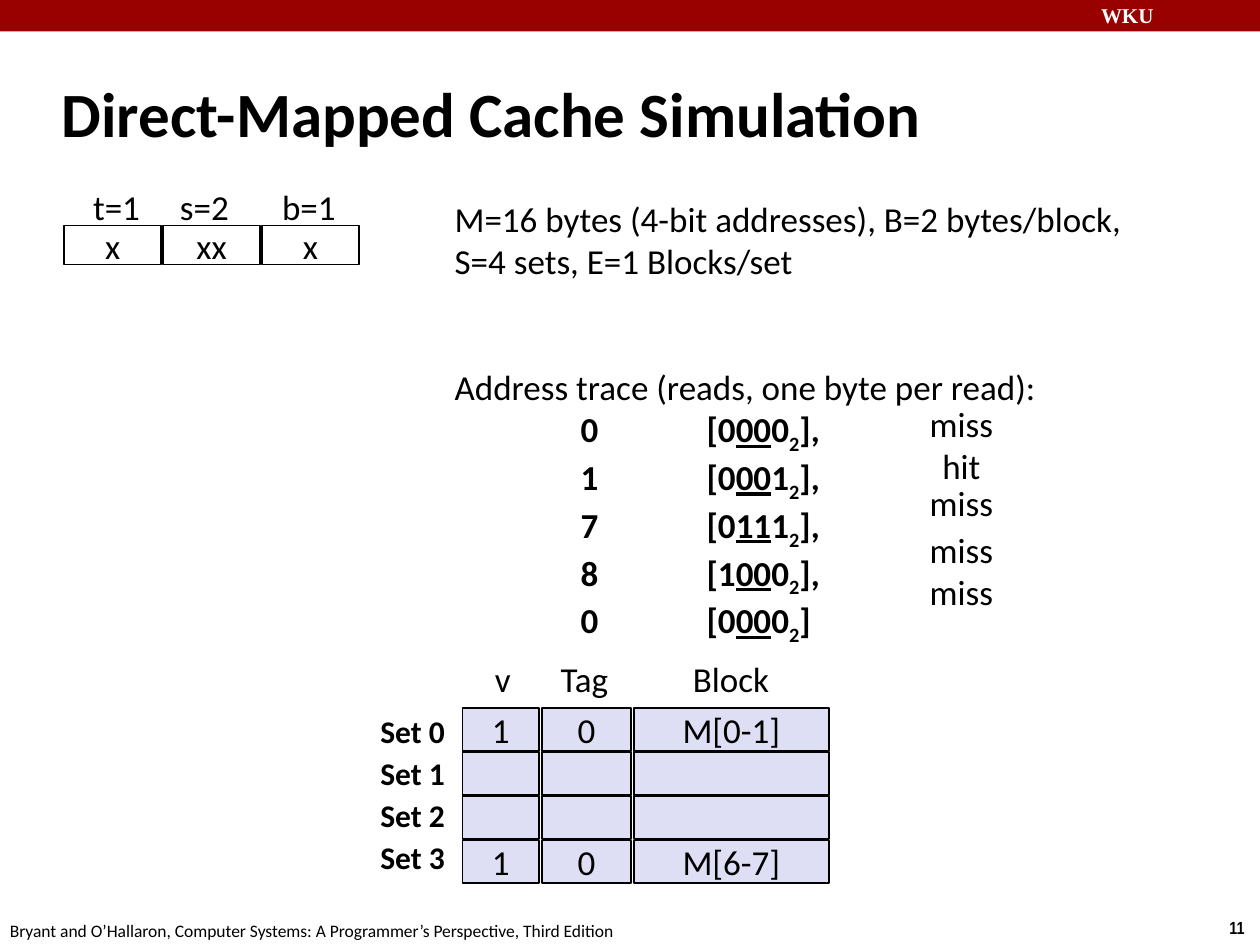
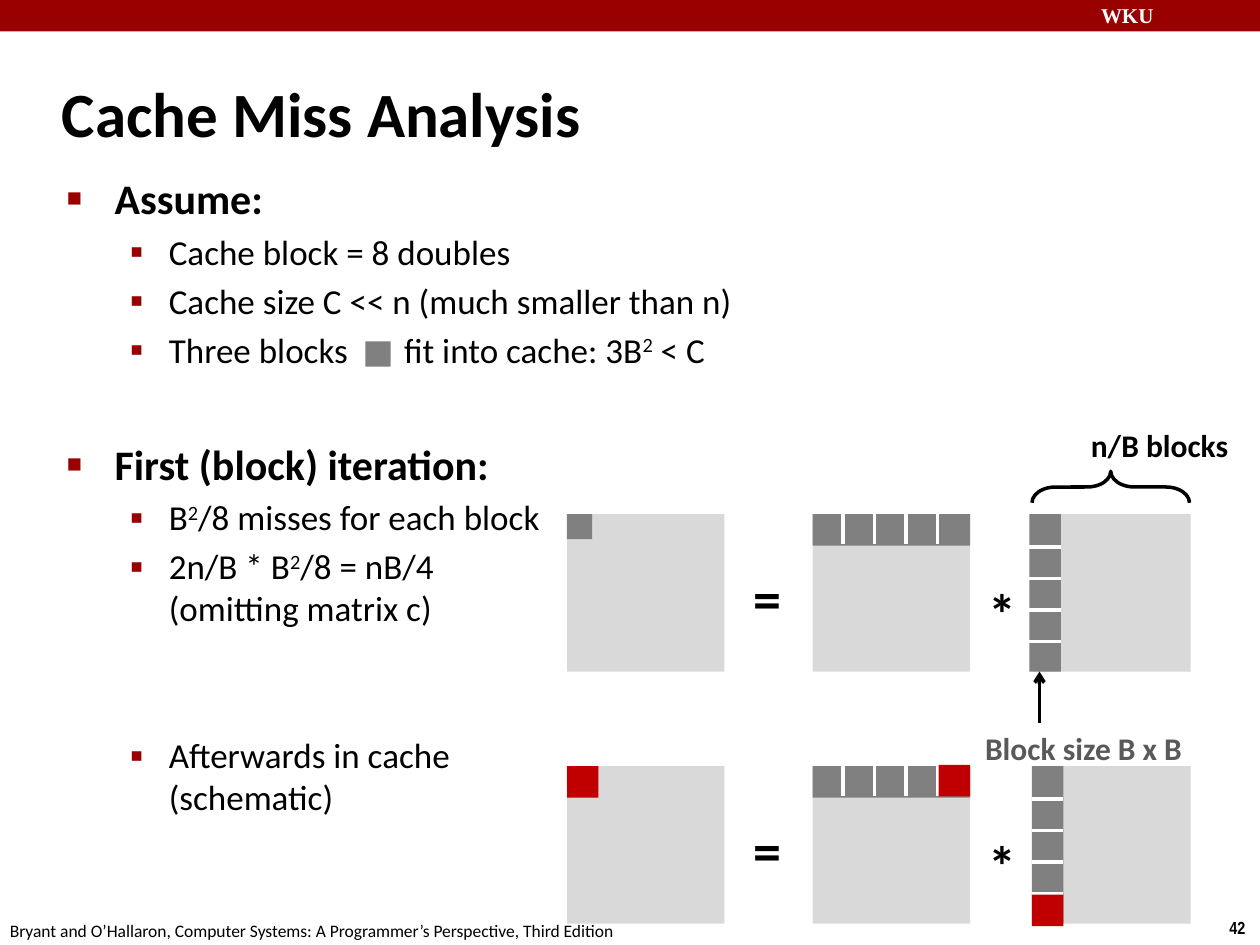
"""Builds two lecture slides on cache simulation and cache misses."""
from dataclasses import dataclass
from typing import Any

from lxml import etree
from pptx import Presentation
from pptx.dml.color import RGBColor
from pptx.enum.shapes import MSO_CONNECTOR, MSO_SHAPE
from pptx.enum.text import MSO_ANCHOR, MSO_AUTO_SIZE, PP_ALIGN
from pptx.oxml.ns import qn
from pptx.util import Inches, Pt

RECTANGLE, BRACE = MSO_SHAPE.RECTANGLE, MSO_SHAPE.LEFT_BRACE
STRAIGHT = MSO_CONNECTOR.STRAIGHT
LEFT, CENTER = PP_ALIGN.LEFT, PP_ALIGN.CENTER
TOP, MIDDLE = MSO_ANCHOR.TOP, MSO_ANCHOR.MIDDLE
FIXED, GROW = MSO_AUTO_SIZE.NONE, MSO_AUTO_SIZE.SHAPE_TO_FIT_TEXT

GRID_COLUMNS = 100
BLACK, WHITE, CRIMSON = "000000", "FFFFFF", "990000"
CELL, MATRIX, BLOCK, CACHED, CAPTION = "DEDFF5", "D9D9D9", "808080", "C00000", "595959"
SUPER, SUB, UNDERLINED = {"baseline": 30000}, {"baseline": -25000}, {"underline": True}
FOOTER = ("Bryant and O’Hallaron, Computer Systems: "
          "A Programmer’s Perspective, Third Edition")


def colour(code):
    """Turn a hex string into a colour."""
    return RGBColor.from_string(code)


def add_xml(parent, tag, **attributes):
    """Append a drawing element with its attributes."""
    return etree.SubElement(parent, qn(tag), attributes)


def write(para, text, size=20, bold=False, ink=BLACK, font="Calibri",
          underline=None, baseline=None, spacing=None):
    """Add text to a paragraph in the given format."""
    for number, line in enumerate(text.split("\n")):
        if number:
            para.add_line_break()
        span = para.add_run()
        span.text = line
        span.font.size, span.font.bold = Pt(size), bold
        span.font.name, span.font.underline = font, underline
        span.font.color.rgb = colour(ink)
        for name, value in (("baseline", baseline), ("spc", spacing)):
            if value is not None:
                span._r.get_or_add_rPr().set(name, str(value))


def write_parts(para, parts, **style):
    """Write plain strings and (string, format) pairs one after another."""
    for part in parts:
        text, extra = (part, {}) if isinstance(part, str) else part
        write(para, text, **{**style, **extra})


def paragraphs(frame, count):
    """Return the first paragraph of a frame and as many new ones as needed."""
    return [frame.paragraphs[0]] + [frame.add_paragraph() for _ in range(count - 1)]


@dataclass
class Deck:
    """Holds the shared style and the current slide."""
    file: Any
    page: Any = None

    def place(self, *cells):
        """Convert grid cells to lengths."""
        return [round(cell * self.file.slide_width / GRID_COLUMNS) for cell in cells]

    def new_page(self, layout, title, number):
        """Start a slide with its title, band and footer."""
        self.page = self.file.slides.add_slide(self.file.slide_layouts[layout])
        self.rectangle(0, 0, 100, 2.5, CRIMSON)
        self.label("WKU", 86.4, -0.3, 14.3, 3, wrap=True, size=12, bold=True,
                   ink=WHITE, font="Times New Roman")
        self.label(number, 96.6, 72.3, 3.4, 2.7, size=10, bold=True, font="Arial Narrow")
        self.label(FOOTER, -0.2, 72.5, 50.8, 2.7, size=10)
        frame = self.move(self.page.shapes.title, 3.9, 4.8, 83, 8.3)
        frame.vertical_anchor = MIDDLE
        frame.paragraphs[0].alignment = LEFT
        write(frame.paragraphs[0], title, size=36, bold=True)

    def move(self, holder, *cells):
        """Move a placeholder and return its text frame."""
        holder.left, holder.top, holder.width, holder.height = self.place(*cells)
        holder.text_frame.auto_size = FIXED
        return holder.text_frame

    def rectangle(self, left, top, width, height, fill, text="", outline=False):
        """Draw a filled rectangle with optional centred text."""
        box = self.page.shapes.add_shape(RECTANGLE, *self.place(left, top, width, height))
        box.shadow.inherit = False
        box.fill.solid()
        box.fill.fore_color.rgb = colour(fill)
        if outline:
            box.line.color.rgb, box.line.width = colour(BLACK), Pt(1)
        else:
            box.line.fill.background()
        if text:
            frame = box.text_frame
            frame.word_wrap, frame.vertical_anchor = False, MIDDLE
            frame.paragraphs[0].alignment = CENTER
            write(frame.paragraphs[0], text)

    def text_box(self, *cells, wrap=False):
        """Add a text box and return its frame."""
        frame = self.page.shapes.add_textbox(*self.place(*cells)).text_frame
        frame.word_wrap, frame.auto_size = wrap, GROW
        return frame

    def label(self, text, *cells, wrap=False, line_spacing=None, **style):
        """Add a one-line label."""
        para = self.text_box(*cells, wrap=wrap).paragraphs[0]
        para.line_spacing = line_spacing
        write(para, text, **style)

    def line(self, *ends, ink=WHITE, arrow=False):
        """Draw a straight line, with an open arrowhead if asked."""
        line = self.page.shapes.add_connector(STRAIGHT, *self.place(*ends))
        line.line.color.rgb, line.line.width = colour(ink), Pt(2)
        if arrow:
            add_xml(line.line._get_or_add_ln(), "a:tailEnd", type="arrow")
        add_xml(line._element.spPr, "a:effectLst")

    def brace(self, *cells):
        """Draw a brace that points up."""
        brace = self.page.shapes.add_shape(BRACE, *self.place(*cells))
        brace.shadow.inherit = False
        brace.rotation = 90
        brace.adjustments[0], brace.adjustments[1] = 0.75, 0.5
        brace.fill.background()
        brace.line.color.rgb, brace.line.width = colour(BLACK), Pt(2)

    def bullets(self, items, *cells):
        """Fill the body placeholder with (level, space before, parts) items."""
        frame = self.move(self.page.placeholders[1], *cells)
        frame.vertical_anchor = TOP
        marks = (("■", 60, 0.38, 0.38, 24), ("▪", 110, 0.81, 0.31, 20))
        for para, (level, gap, parts) in zip(paragraphs(frame, len(items)), items):
            mark, percent, margin, hanging, size = marks[level]
            para.level = level
            properties = para._p.get_or_add_pPr()
            properties.set("marL", str(Inches(margin)))
            properties.set("indent", str(-Inches(hanging)))
            add_xml(add_xml(properties, "a:buClr"), "a:srgbClr", val=CRIMSON)
            add_xml(properties, "a:buSzPct", val=str(percent * 1000))
            add_xml(properties, "a:buChar", char=mark)
            para.space_before = Pt(gap)
            write_parts(para, parts, size=size, bold=level == 0)

    def trace(self, intro, reads, *cells):
        """Write the cache parameters and the list of addresses read."""
        frame = self.text_box(*cells, wrap=True)
        paras = paragraphs(frame, len(intro) + len(reads))
        for para, (text, gap) in zip(paras, intro):
            para.space_before = Pt(gap)
            write(para, text)
        for para, (address, bits, ending) in zip(paras[len(intro):], reads):
            stops = add_xml(para._p.get_or_add_pPr(), "a:tabLst")
            for inch in (1, 2):
                add_xml(stops, "a:tab", pos=str(Inches(inch)), algn="l")
            write_parts(para, [f"\t{address}\t[{bits[0]}", (bits[1:3], UNDERLINED),
                               bits[3], ("2", SUB), ending], bold=True)

    def matrix_product(self, top, column):
        """Draw c = a * b with the first row and column cut into blocks."""
        side, block = 12.5, 2.5
        for left in (45, 64.5, 82):
            self.rectangle(left, top, side, side, MATRIX)
        self.label("=", 58.8, top + 3.4, 4.3, 6.4, size=32, bold=True)
        self.label("*", 77.5, top + 4.6, 4.3, 6.4, size=32, bold=True)
        self.rectangle(45, top, 2, 2, BLOCK)
        self.rectangle(64.5, top, side, block, BLOCK)
        self.rectangle(column, top, block, side, BLOCK)
        for cut in range(4):
            across, down = 66.9 + cut * block, top + 2.6 + cut * block
            self.line(across, top - 0.1, across, top + 2.4)
            self.line(column, down, column + block, down)


def simulation_page(deck):
    """Build the direct-mapped cache simulation."""
    deck.new_page(5, "Direct-Mapped Cache Simulation", "11")
    deck.trace(
        [("M=16 bytes (4-bit addresses), B=2 bytes/block,", 0),
         ("S=4 sets, E=1 Blocks/set", 0),
         ("Address trace (reads, one byte per read):", 48)],
        [("0", "0000", "],"), ("1", "0001", "],"), ("7", "0111", "],"),
         ("8", "1000", "],"), ("0", "0000", "]")],
        35.1, 15.2, 67.4, 34.6)

    fields = (("t=1", 6.4, 5.8, "x"), ("s=2", 13.3, 5.9, "xx"), ("b=1", 21.4, 6.3, "x"))
    for index, (name, left, width, bits) in enumerate(fields):
        deck.rectangle(5.1 + index * 7.85, 17.9, 7.7, 3.1, WHITE, bits, outline=True)
        deck.label(name, left, 14.2, width, 4.3)

    results = (("miss", 32.5), ("hit", 35.8), ("miss", 38.8), ("miss", 42.5), ("miss", 45.8))
    for result, top in results:
        left, width = (73.8, 5.1) if result == "hit" else (72.8, 7.1)
        deck.label(result, left, top, width, 3.4, line_spacing=0.65)

    columns = (("v", 38.3, 3.4, 36.7, 6.1), ("Tag", 43.5, 5.8, 43, 7.1),
               ("Block", 54, 8.1, 50.3, 15.5))
    sets = (("1", "0", "M[0-1]"), ("", "", ""), ("", "", ""), ("1", "0", "M[6-7]"))
    for heading, left, width, _, _ in columns:
        deck.label(heading, left, 51.7, width, 4.3)
    for row, values in enumerate(sets):
        deck.label(f"Set {row}", 29.2, 56 + row * 3.33, 7.2, 4, size=18, bold=True)
        for value, (_, _, _, left, width) in zip(values, columns):
            deck.rectangle(left, 56.2 + row * 3.5, width, 3.4, CELL, value, outline=True)


def analysis_page(deck):
    """Build the cache miss analysis."""
    deck.new_page(1, "Cache Miss Analysis", "42")
    deck.bullets([
        (0, 0, ["Assume:"]),
        (1, 4, ["Cache block = 8 doubles"]),
        (1, 4, ["Cache size C << n (much smaller than n)"]),
        (1, 4, ["Three blocks", (" ", {"spacing": 2750}), "fit into cache: 3B",
                ("2", SUPER), " < C"]),
        (0, 39, ["First (block) iteration:"]),
        (1, 4, ["B", ("2", SUPER), "/8 misses for each block"]),
        (1, 4, ["2n/B * B", ("2", SUPER), "/8 = nB/4\n(omitting matrix c)"]),
        (1, 60, ["Afterwards in cache\n(schematic)"]),
    ], 4.3, 13.2, 86.4, 33.4)
    deck.rectangle(29, 27.1, 2, 2, BLOCK)

    for top, column in ((40.8, 81.7), (60.8, 81.9)):
        deck.matrix_product(top, column)
    for left, top in ((45, 60.8), (74.5, 60.7), (81.9, 71)):
        deck.rectangle(left, top, 2.5, 2.5, CACHED)

    deck.brace(86.9, 32.4, 2.5, 12.5)
    deck.label("n/B blocks", 85.6, 33.3, 13, 4, size=18, bold=True)
    deck.line(82.5, 57.4, 82.5, 53.3, ink=BLACK, arrow=True)
    deck.label("Block size B x B", 77.2, 57.4, 17.8, 4, size=18, bold=True, ink=CAPTION)


def main():
    """Build and save the slides."""
    file = Presentation()
    file.slide_width, file.slide_height = Inches(10), Inches(7.5)
    deck = Deck(file)
    simulation_page(deck)
    analysis_page(deck)
    file.save("out.pptx")


if __name__ == "__main__":
    main()
